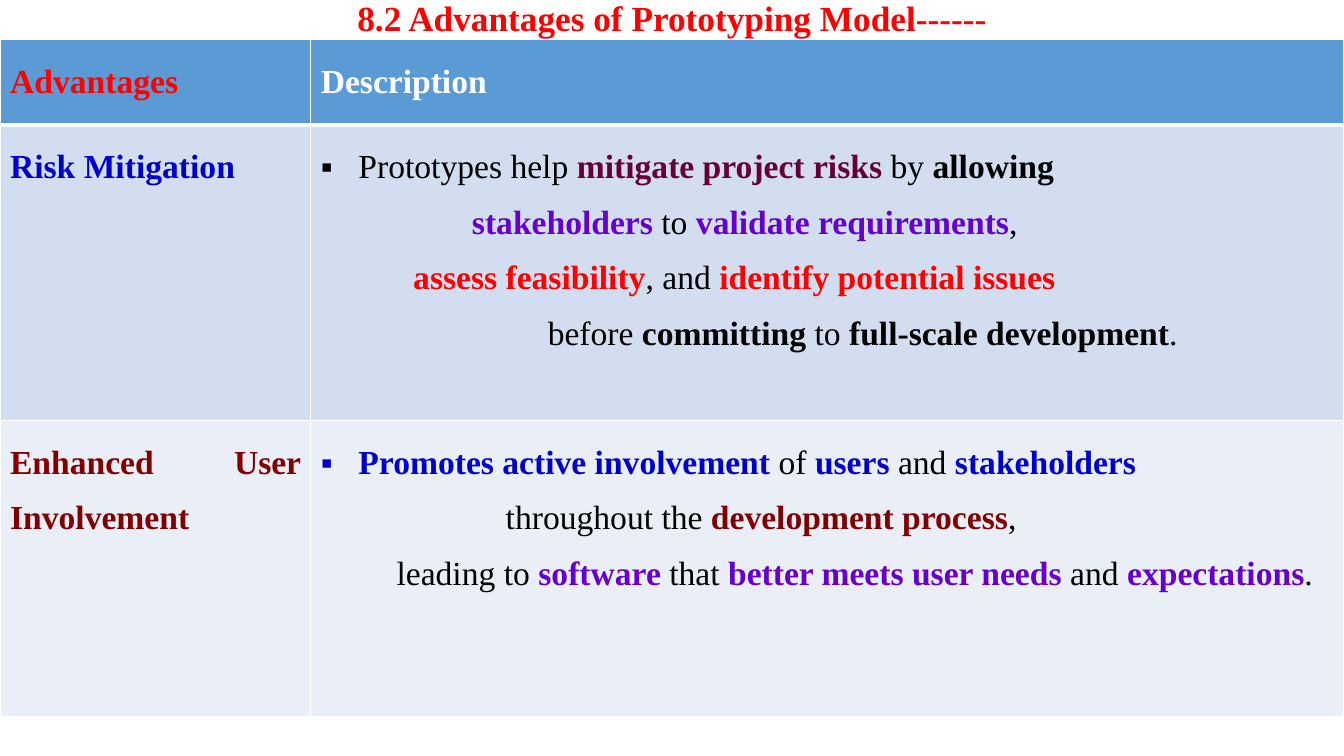
from lxml import etree
from pptx import Presentation
from pptx.dml.color import RGBColor
from pptx.enum.text import MSO_ANCHOR, MSO_AUTO_SIZE, PP_ALIGN
from pptx.oxml.ns import qn
from pptx.util import Cm, Pt

CENTER, JUSTIFY = PP_ALIGN.CENTER, PP_ALIGN.JUSTIFY
MIDDLE = MSO_ANCHOR.MIDDLE
NO_AUTOFIT = MSO_AUTO_SIZE.NONE
TITLE_ONLY = 5

WHITE = RGBColor(0xFF, 0xFF, 0xFF)
BLACK = RGBColor(0x00, 0x00, 0x00)
RED = RGBColor(0xFF, 0x00, 0x00)
BLUE = RGBColor(0x00, 0x00, 0xCC)
MAROON = RGBColor(0x80, 0x00, 0x00)
PLUM = RGBColor(0x66, 0x00, 0x33)
PURPLE = RGBColor(0x66, 0x00, 0xCC)
HEADER_FILL = RGBColor(0x5B, 0x9B, 0xD5)
ROW_FILLS = [RGBColor(0xD2, 0xDE, 0xEF), RGBColor(0xEA, 0xEF, 0xF7)]

# A line is (indent in cm, runs); a run is (text, colour, bold).
BULLET = None
HEADER = [
    [(0, [("Advantages", RED, True)])],
    [(0, [("Description", WHITE, True)])],
]
RISK_MITIGATION = [
    [(0, [("Risk Mitigation", BLUE, True)])],
    [
        (BULLET, [("Prototypes help ", BLACK, False),
                  ("mitigate project risks ", PLUM, True),
                  ("by ", BLACK, False), ("allowing", BLACK, True)]),
        (3.81, [("stakeholders", PURPLE, True), (" to ", BLACK, False),
                ("validate requirements", PURPLE, True), (",", BLACK, False)]),
        (2.33, [("assess feasibility", RED, True), (", and ", BLACK, False),
                ("identify potential issues", RED, True)]),
        (5.72, [("before ", BLACK, False), ("committing", BLACK, True),
                (" to ", BLACK, False),
                ("full-scale development", BLACK, True), (".", BLACK, False)]),
    ],
]
USER_INVOLVEMENT = [
    [(0, [("Enhanced User Involvement", MAROON, True)])],
    [
        (BULLET, [("Promotes active involvement ", BLUE, True),
                  ("of ", BLACK, False), ("users", BLUE, True),
                  (" and ", BLACK, False), ("stakeholders", BLUE, True)]),
        (4.66, [("throughout the ", BLACK, False),
                ("development process", MAROON, True), (",", BLACK, False)]),
        (1.91, [("leading to ", BLACK, False), ("software", PURPLE, True),
                (" that ", BLACK, False),
                ("better meets user needs", PURPLE, True),
                (" and ", BLACK, False), ("expectations", PURPLE, True),
                (".", BLACK, False)]),
    ],
]


class SlideBuilder:
    font_name = "Times New Roman"
    title_size = Pt(25.2)
    table_size = Pt(24)
    bullet_indent = Cm(0.95)

    def __init__(self, presentation):
        layout = presentation.slide_layouts[TITLE_ONLY]
        self.slide = presentation.slides.add_slide(layout)

    def add_run(self, paragraph, text, color, bold, size):
        run = paragraph.add_run()
        run.text = text
        run.font.name = self.font_name
        run.font.size = size
        run.font.bold = bold
        run.font.color.rgb = color

    def title(self, text, left, top, width, height):
        shape = self.slide.shapes.title
        shape.left, shape.top = Cm(left), Cm(top)
        shape.width, shape.height = Cm(width), Cm(height)
        frame = shape.text_frame
        frame.auto_size = NO_AUTOFIT
        frame.word_wrap = True
        frame.vertical_anchor = MIDDLE
        paragraph = frame.paragraphs[0]
        paragraph.alignment = CENTER
        paragraph.line_spacing = 0.9
        self.add_run(paragraph, text, RED, True, self.title_size)

    def indent(self, paragraph, amount):
        properties = paragraph._p.get_or_add_pPr()
        if amount is BULLET:
            properties.set("marL", str(self.bullet_indent))
            properties.set("indent", str(-self.bullet_indent))
            etree.SubElement(properties, qn("a:buFont"), typeface=self.font_name)
            etree.SubElement(properties, qn("a:buChar"), char="▪")
        elif amount:
            properties.set("marL", str(Cm(amount)))

    def borders(self, cell, top, bottom):
        properties = cell._tc.get_or_add_tcPr()
        widths = {"a:lnL": 1, "a:lnR": 1, "a:lnT": top, "a:lnB": bottom}
        for position, (tag, width) in enumerate(widths.items()):
            line = etree.Element(qn(tag), w=str(Pt(width)))
            fill = etree.SubElement(line, qn("a:solidFill"))
            etree.SubElement(fill, qn("a:srgbClr"), val=str(WHITE))
            properties.insert(position, line)

    def cell(self, cell, lines, color):
        cell.fill.solid()
        cell.fill.fore_color.rgb = color
        frame = cell.text_frame
        for number, (amount, runs) in enumerate(lines):
            paragraph = frame.add_paragraph() if number else frame.paragraphs[0]
            paragraph.alignment = JUSTIFY
            paragraph.line_spacing = 1.5
            self.indent(paragraph, amount)
            for text, run_color, bold in runs:
                self.add_run(paragraph, text, run_color, bold, self.table_size)

    def table(self, rows, fills, left, top, widths, heights):
        table = self.slide.shapes.add_table(
            len(rows), len(widths), Cm(left), Cm(top),
            Cm(sum(widths)), Cm(sum(heights))).table
        for column, width in zip(table.columns, widths):
            column.width = Cm(width)
        for row_number, row in enumerate(rows):
            table.rows[row_number].height = Cm(heights[row_number])
            for column_number, lines in enumerate(row):
                cell = table.cell(row_number, column_number)
                self.cell(cell, lines, fills[row_number])
                # The rule under the header is thicker than the others
                self.borders(cell, top=3 if row_number == 1 else 1,
                             bottom=3 if row_number == 0 else 1)


def main():
    presentation = Presentation()
    presentation.slide_width = Cm(33.87)
    presentation.slide_height = Cm(19.05)
    builder = SlideBuilder(presentation)

    # Title
    builder.title("8.2 Advantages of Prototyping Model------",
                  left=2.33, top=0, width=29.21, height=1)

    # Table of advantages
    builder.table([HEADER, RISK_MITIGATION, USER_INVOLVEMENT],
                  [HEADER_FILL, *ROW_FILLS], left=0, top=1,
                  widths=[7.83, 26.04], heights=[2.15, 7.45, 7.45])

    presentation.save("out.pptx")


if __name__ == "__main__":
    main()
